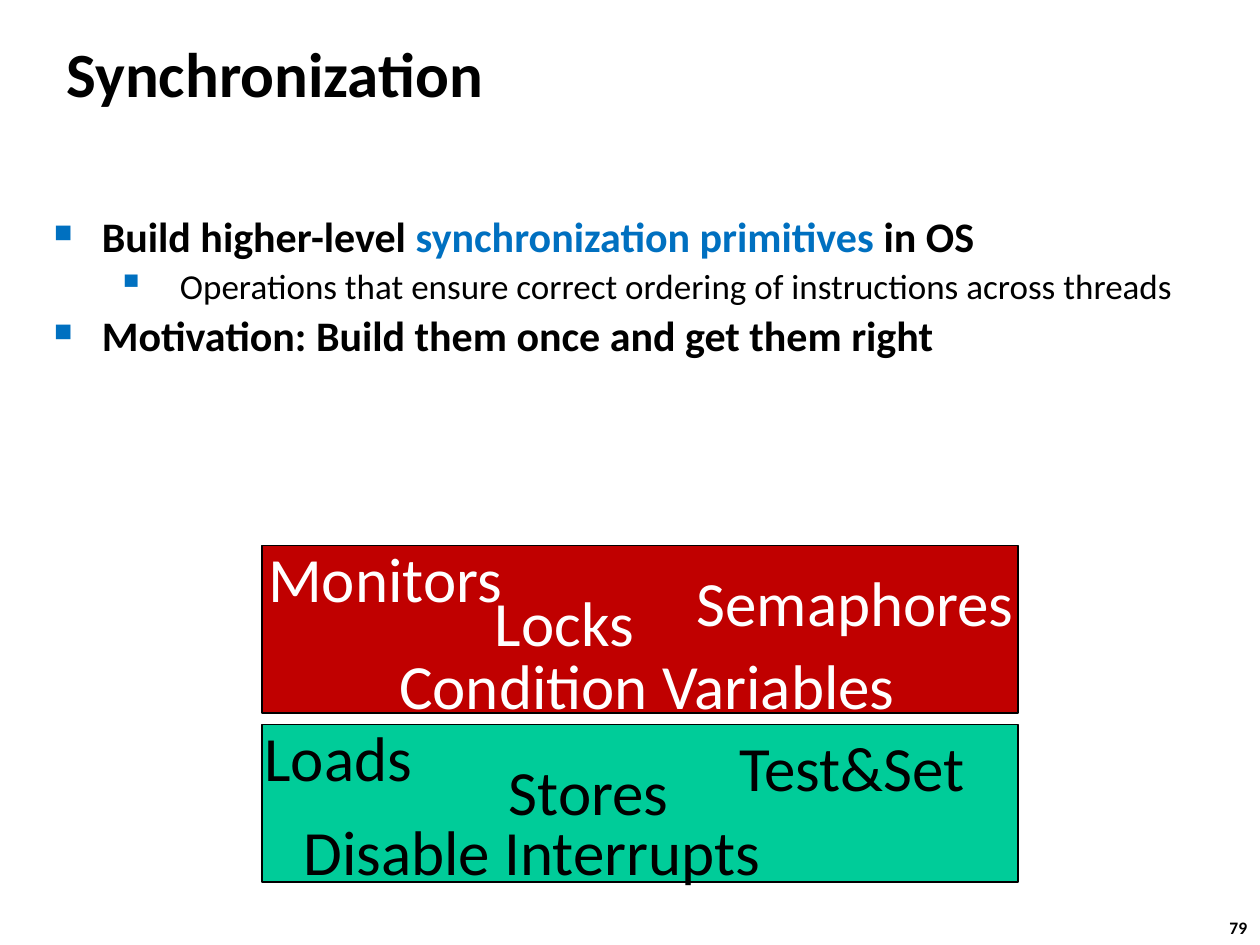
from dataclasses import dataclass

from lxml import etree
from pptx import Presentation
from pptx import util as u
from pptx.dml.color import RGBColor
from pptx.enum import shapes, text
from pptx.oxml import ns


@dataclass(frozen=True)
class Theme:
    font: str = "Calibri"
    black: str = "000000"
    white: str = "FFFFFF"
    blue: str = "0070C0"
    red: str = "C00000"
    green: str = "00CC99"
    large: int = 36
    body: int = 24
    detail: int = 20
    number: int = 10


THEME = Theme()


def add_run(paragraph, words, size, color=THEME.black, bold=False):
    run = paragraph.add_run()
    run.text = words
    run.font.name = THEME.font
    run.font.size = u.Pt(size)
    run.font.bold = bold
    run.font.color.rgb = RGBColor.from_string(color)


def add_text_frame(slide, box, wrap=True):
    frame = slide.shapes.add_textbox(*map(u.Inches, box)).text_frame
    frame.word_wrap = wrap
    return frame


def add_label(slide, box, words, size, color=THEME.black, bold=False):
    """Place one unwrapped line in a box that fits its text."""
    frame = add_text_frame(slide, box, wrap=False)
    frame.auto_size = text.MSO_AUTO_SIZE.SHAPE_TO_FIT_TEXT
    add_run(frame.paragraphs[0], words, size, color, bold)


def add_title(slide, box, words):
    frame = add_text_frame(slide, box)
    frame.vertical_anchor = text.MSO_ANCHOR.MIDDLE
    add_run(frame.paragraphs[0], words, THEME.large, bold=True)


def set_bullet(paragraph, character, percent, margin, hanging):
    properties = paragraph._p.get_or_add_pPr()
    properties.set("marL", str(u.Inches(margin)))
    properties.set("indent", str(-u.Inches(hanging)))
    color = etree.SubElement(properties, ns.qn("a:buClr"))
    etree.SubElement(color, ns.qn("a:srgbClr"), val=THEME.blue)
    etree.SubElement(properties, ns.qn("a:buSzPct"), val=str(percent * 1000))
    etree.SubElement(properties, ns.qn("a:buChar"), char=character)


def add_bullets(slide, box, items):
    """Place (level, [(words, color), ...]) items as a two-level list."""
    frame = add_text_frame(slide, box)
    for index, (level, parts) in enumerate(items):
        paragraph = frame.paragraphs[0] if index == 0 else frame.add_paragraph()
        size = THEME.detail if level else THEME.body
        if level:
            set_bullet(paragraph, "▪", 110, 1, 0.5)
        else:
            set_bullet(paragraph, "■", 60, 0.38, 0.38)
        paragraph.level = level
        paragraph.line_spacing = 0.9
        if index:
            paragraph.space_before = u.Pt(0.2 * size)
        for words, color in parts:
            add_run(paragraph, words, size, color, bold=level == 0)


def add_layer(slide, box, fill, color, labels):
    """Draw a filled panel with labels offset from its top left corner."""
    panel = slide.shapes.add_shape(
        shapes.MSO_SHAPE.RECTANGLE, *map(u.Inches, box))
    panel.shadow.inherit = False
    panel.fill.solid()
    panel.fill.fore_color.rgb = RGBColor.from_string(fill)
    panel.line.color.rgb = RGBColor.from_string(THEME.black)
    panel.line.width = u.Pt(0.75)
    left, top = box[:2]
    for words, across, down, width in labels:
        add_label(slide, (left + across, top + down, width, 0.71),
                  words, THEME.large, color)


def main():
    presentation = Presentation()
    presentation.slide_width = u.Inches(10)
    presentation.slide_height = u.Inches(7.5)
    slide = presentation.slides.add_slide(presentation.slide_layouts[6])

    add_label(slide, (9.66, 7.23, 0.37, 0.27), "79", THEME.number, bold=True)
    add_title(slide, (0.43, 0.16, 8.3, 0.83), "Synchronization")
    add_bullets(slide, (0.33, 1.67, 9.49, 2.33), [
        (0, [("Build higher-level ", THEME.black),
             ("synchronization primitives ", THEME.blue),
             ("in OS", THEME.black)]),
        (1, [("Operations that ensure correct ordering of instructions "
              "across threads", THEME.black)]),
        (0, [("Motivation: Build them once and get them right", THEME.black)]),
    ])
    add_layer(slide, (2.08, 4.33, 6, 1.33), THEME.red, THEME.white, [
        ("Monitors", -0.05, -0.1, 2.07),
        ("Semaphores", 3.35, 0.09, 2.74),
        ("Condition Variables", 0.99, 0.75, 4.17),
        ("Locks", 1.75, 0.25, 1.3),
    ])
    add_layer(slide, (2.08, 5.75, 6, 1.25), THEME.green, THEME.black, [
        ("Loads", -0.08, -0.1, 1.42),
        ("Stores", 1.86, 0.17, 1.49),
        ("Test&Set", 3.69, -0.02, 2.01),
        ("Disable Interrupts", 0.23, 0.65, 3.86),
    ])
    presentation.save("out.pptx")


if __name__ == "__main__":
    main()
